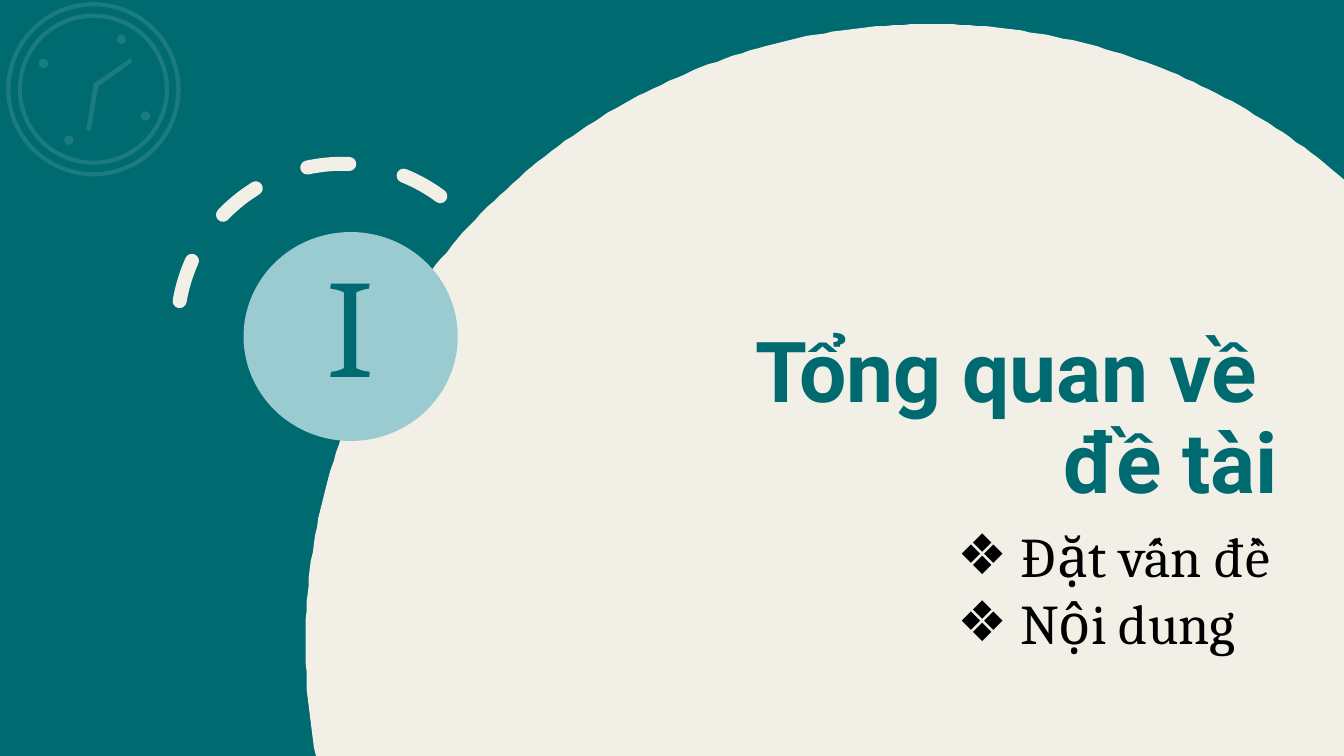
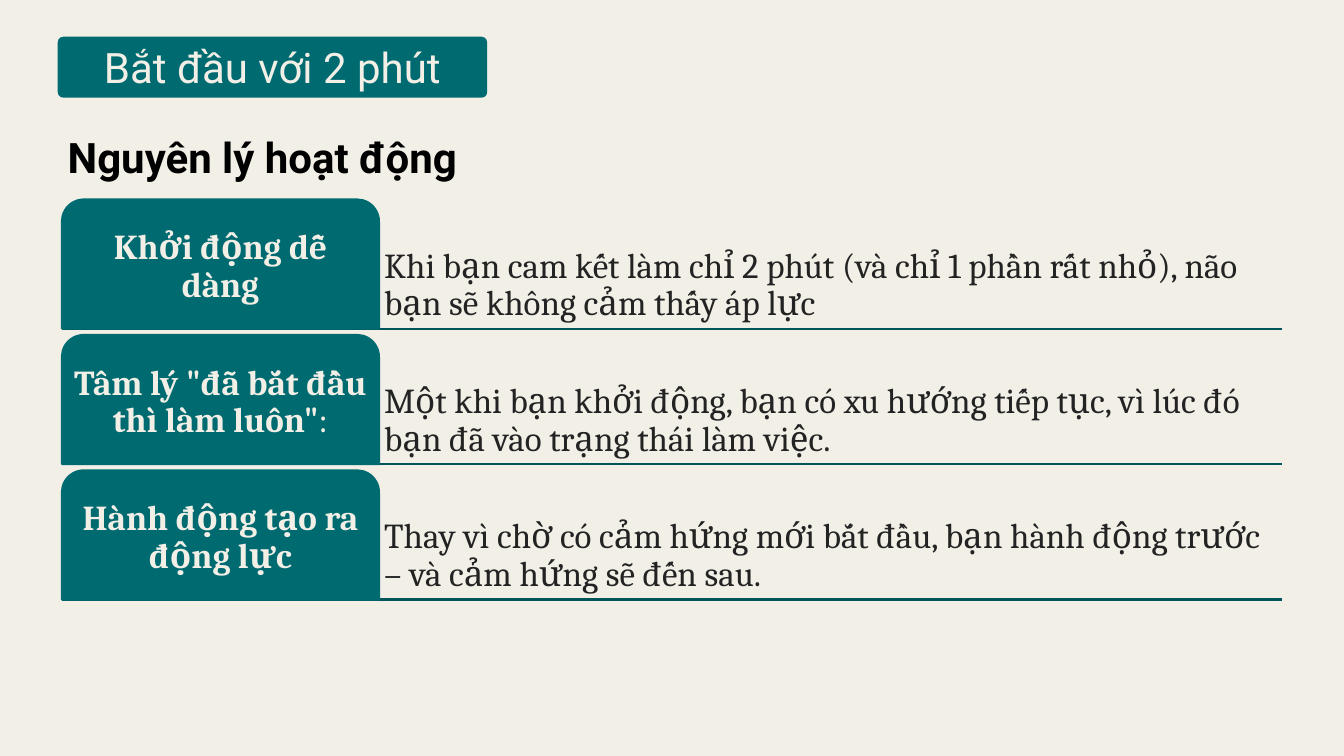
import math

import pptx
import pptx.dml.color
import pptx.enum.dml
import pptx.enum.shapes
import pptx.enum.text
import pptx.oxml
import pptx.oxml.ns
import pptx.util

TEAL = pptx.dml.color.RGBColor(0x00, 0x6A, 0x71)
DARK_TEAL = pptx.dml.color.RGBColor(0x00, 0x55, 0x5A)
CREAM = pptx.dml.color.RGBColor(0xF2, 0xEF, 0xE7)
SKY = pptx.dml.color.RGBColor(0x9A, 0xCB, 0xD0)
INK = pptx.dml.color.RGBColor(0x23, 0x23, 0x23)
BLACK = pptx.dml.color.RGBColor(0x00, 0x00, 0x00)
HEAD_FONT, BODY_FONT = "Roboto", "Cambria"

SHAPE = pptx.enum.shapes.MSO_SHAPE
ANCHOR = pptx.enum.text.MSO_ANCHOR
ALIGN = pptx.enum.text.PP_ALIGN
EMU_PER_PX = 9525
WIDTH, HEIGHT = 1280, 720


def px(*lengths):
    return [pptx.util.Emu(round(n * EMU_PER_PX)) for n in lengths]


def sub(parent, tag, **attrs):
    el = pptx.oxml.parse_xml(f"<{tag} {pptx.oxml.ns.nsdecls('a')}/>")
    for name, value in attrs.items():
        el.set(name, str(value))
    parent.append(el)
    return el


def write(p, text, size=25, color=INK, font=BODY_FONT, bold=False, align=None, spacing=None):
    p.alignment = align
    p.line_spacing = spacing
    r = p.add_run()
    r.text = text
    r.font.size = pptx.util.Pt(size)
    r.font.name = font
    r.font.bold = bold
    r.font.color.rgb = color


class Deck:
    """Holds the deck's style and the slide being built."""

    def __init__(self):
        self.prs = pptx.Presentation()
        self.prs.slide_width, self.prs.slide_height = px(WIDTH, HEIGHT)
        self.slide = None

    def new_slide(self, layout, color):
        self.slide = self.prs.slides.add_slide(self.prs.slide_layouts[layout])
        fill = self.slide.background.fill
        fill.solid()
        fill.fore_color.rgb = color

    def paint(self, sp, fill=None, alpha=None, line=None, weight=1.5):
        sp.shadow.inherit = False
        if fill is None:
            sp.fill.background()
        else:
            sp.fill.solid()
            sp.fill.fore_color.rgb = fill
        if alpha is not None:
            color = sp._element.spPr.find(".//" + pptx.oxml.ns.qn("a:srgbClr"))
            sub(color, "a:alpha", val=alpha * 1000)
        if line is None:
            sp.line.fill.background()
        else:
            sp.line.color.rgb = line
            sp.line.width = pptx.util.Pt(weight)
        return sp

    def shape(self, kind, x, y, w, h, adj=(), **style):
        sp = self.slide.shapes.add_shape(kind, *px(x, y, w, h))
        for i, value in enumerate(adj):
            sp.adjustments[i] = value
        return self.paint(sp, **style)

    def outline(self, points, **style):
        start, *rest = points
        fb = self.slide.shapes.build_freeform(*start, scale=EMU_PER_PX)
        fb.add_line_segments(rest, close=True)
        return self.paint(fb.convert_to_shape(), **style)

    def line(self, x1, y1, x2, y2, color, weight=1.5):
        cx = self.slide.shapes.add_connector(
            pptx.enum.shapes.MSO_CONNECTOR.STRAIGHT, *px(x1, y1, x2, y2))
        cx.line.color.rgb = color
        cx.line.width = pptx.util.Pt(weight)
        sub(cx._element.spPr, "a:effectLst")

    def frame(self, sp, anchor=ANCHOR.TOP, inset=None):
        tf = sp.text_frame
        tf.word_wrap = True
        tf.auto_size = pptx.enum.text.MSO_AUTO_SIZE.NONE
        tf.vertical_anchor = anchor
        if inset is not None:
            tf.margin_left, tf.margin_top, tf.margin_right, tf.margin_bottom = px(*[inset] * 4)
        return tf

    def textbox(self, x, y, w, h, **layout):
        return self.frame(self.slide.shapes.add_textbox(*px(x, y, w, h)), **layout)

    def placeholder(self, idx, x, y, w, h, **layout):
        sp = self.slide.placeholders[idx]
        sp.left, sp.top, sp.width, sp.height = px(x, y, w, h)
        self.slide.shapes._spTree.append(sp._element)
        return self.frame(sp, **layout)

    def bullets(self, tf, items, indent, **fmt):
        for i, item in enumerate(items):
            p = tf.paragraphs[0] if i == 0 else tf.add_paragraph()
            p.space_before = pptx.util.Pt(0)
            pPr = p._p.get_or_add_pPr()
            pPr.set("marL", str(indent * EMU_PER_PX))
            pPr.set("indent", str(-indent * EMU_PER_PX))
            sub(pPr, "a:buChar", char="❖")
            write(p, item, **fmt)

    def clock(self, cx, cy):
        style = dict(fill=SKY, alpha=18)
        for radius in (83, 72):
            self.shape(SHAPE.DONUT, cx - radius, cy - radius, 2 * radius, 2 * radius,
                       adj=[4 / (2 * radius)], **style)
        for dx, dy in ((26, -48), (-48, -25), (-24, 48), (49, 25)):
            self.shape(SHAPE.OVAL, cx + dx - 4, cy + dy - 4, 9, 9, **style)
        hands = [(12, 42), (-2, 0), (-2, -1), (18, -38), (21, -35), (3, 0), (16, 41)]
        self.outline([(cx + dx, cy + dy) for dx, dy in hands], **style).rotation = 27.4


def section_slide(deck):
    deck.new_slide(1, TEAL)
    cx, cy, rx, ry = 886, 614, 595, 591
    first = math.pi + math.asin((HEIGHT - cy) / ry)
    last = math.acos((WIDTH - cx) / rx)
    steps = 180
    angles = [first + (last - first) * i / steps for i in range(steps + 1)]
    curve = [(cx + rx * math.cos(a), cy - ry * math.sin(a)) for a in angles]
    deck.outline(curve + [(WIDTH, HEIGHT)], fill=CREAM)

    deck.shape(SHAPE.OVAL, 232, 221, 204, 199, fill=SKY)
    arc = deck.shape(SHAPE.ARC, 169, 156, 314, 314, adj=[144.55, 2.28], line=CREAM, weight=10)
    arc.rotation = 308.7
    arc.line.dash_style = pptx.enum.dml.MSO_LINE.DASH
    arc.line._get_or_add_ln().set("cap", "rnd")

    p = deck.placeholder(0, 424, 203, 803, 289, anchor=ANCHOR.BOTTOM).paragraphs[0]
    title = dict(size=60, color=TEAL, font=HEAD_FONT, bold=True, align=ALIGN.RIGHT, spacing=0.9)
    write(p, "Tổng quan về ", **title)
    p.add_line_break()
    write(p, "đề tài", **title)

    tf = deck.textbox(272, 240, 123, 159)
    write(tf.paragraphs[0], "I", size=100, color=TEAL, align=ALIGN.CENTER, spacing=0.9)

    tf = deck.placeholder(1, 902, 492, 325, 139)
    deck.bullets(tf, ["Đặt vấn đề", "Nội dung"], 60, size=40, color=BLACK)
    deck.clock(89, 85)


def principle_slide(deck):
    deck.new_slide(5, CREAM)
    band = (55, 35, 409, 58)
    deck.shape(SHAPE.ROUNDED_RECTANGLE, *band, adj=[0.09], fill=TEAL)
    tf = deck.placeholder(0, *band, anchor=ANCHOR.MIDDLE)
    write(tf.paragraphs[0], "Bắt đầu với 2 phút", size=30, color=CREAM,
          font=HEAD_FONT, align=ALIGN.CENTER)

    tf = deck.textbox(55, 121, 432, 59)
    write(tf.paragraphs[0], "Nguyên lý hoạt động", size=30, color=BLACK,
          font=HEAD_FONT, bold=True)

    rows = [
        ("Khởi động dễ dàng", "",
         "Khi bạn cam kết làm chỉ 2 phút (và chỉ 1 phần rất nhỏ), não bạn sẽ không cảm thấy áp lực"),
        ("Tâm lý \"đã bắt đầu thì làm luôn\"", ":",
         "Một khi bạn khởi động, bạn có xu hướng tiếp tục, vì lúc đó bạn đã vào trạng thái làm việc."),
        ("Hành động tạo ra động lực", "",
         "Thay vì chờ có cảm hứng mới bắt đầu, bạn hành động trước – và cảm hứng sẽ đến sau."),
    ]
    left, top, right, tab_w, row_h, pitch = 59, 190, 1221, 302, 123, 129
    label = dict(color=CREAM, align=ALIGN.CENTER, spacing=0.9)
    for i, (name, suffix, detail) in enumerate(rows):
        y = top + i * pitch
        deck.line(left, y + row_h, right, y + row_h, DARK_TEAL)
        tf = deck.textbox(left + tab_w, y, right - left - tab_w, row_h,
                          anchor=ANCHOR.BOTTOM, inset=5)
        write(tf.paragraphs[0], detail, spacing=0.9)
        tab = deck.shape(SHAPE.ROUND_2_SAME_RECTANGLE, left, y, tab_w, row_h,
                         adj=[0.17, 0], fill=TEAL, line=TEAL)
        p = deck.frame(tab, anchor=ANCHOR.MIDDLE, inset=5).paragraphs[0]
        write(p, name, bold=True, **label)
        if suffix:
            write(p, suffix, **label)


def main():
    deck = Deck()
    section_slide(deck)
    principle_slide(deck)
    deck.prs.save("out.pptx")


if __name__ == "__main__":
    main()
